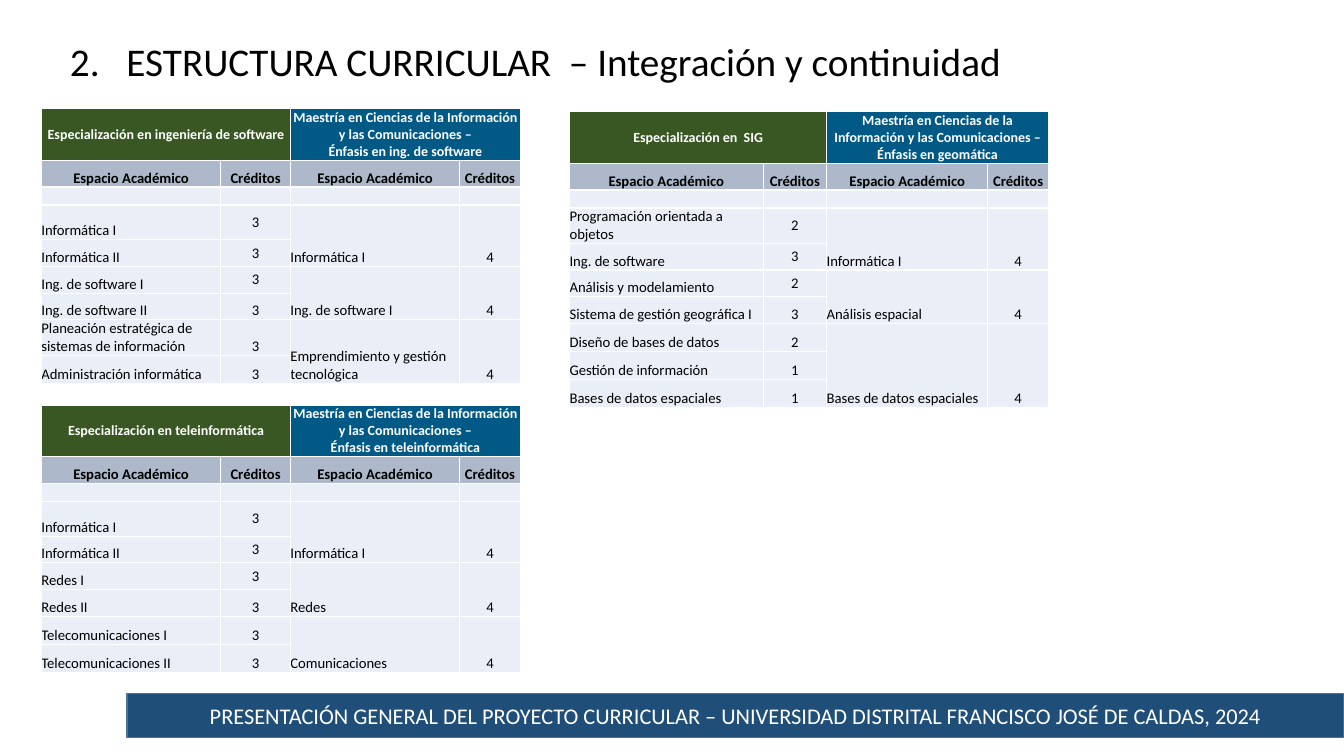
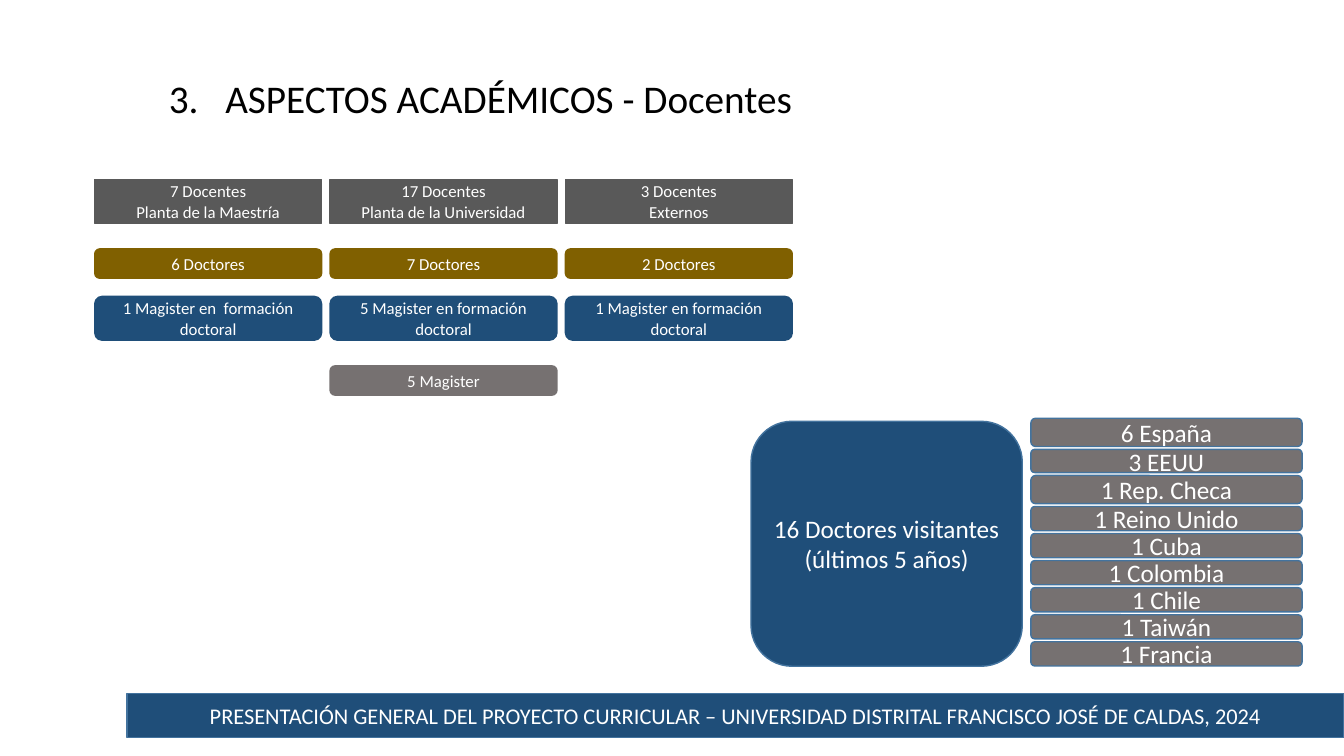
from lxml.etree import SubElement
from pptx import Presentation
from pptx.dml.color import RGBColor
from pptx.enum.shapes import MSO_SHAPE as SHAPE
from pptx.enum.text import MSO_ANCHOR as ANCHOR, MSO_AUTO_SIZE as AUTO, PP_ALIGN as ALIGN
from pptx.oxml.ns import qn
from pptx.util import Emu, Inches, Pt

WIDTH, HEIGHT = Inches(13.33), Inches(7.5)
FONT = "Calibri"
BLACK, WHITE = "000000", "FFFFFF"
NAVY, EDGE = "1F4E79", "43739E"
GRAY, DARK_GRAY, OCHRE = "767171", "595959", "806000"
GREEN, BLUE, HEADER, BODY = "385723", "015986", "ADB9CA", "EAEFF7"
FOOTER = "PRESENTACIÓN GENERAL DEL PROYECTO CURRICULAR – UNIVERSIDAD DISTRITAL FRANCISCO JOSÉ DE CALDAS, 2024"
MASTER = "Maestría en Ciencias de la Información y las Comunicaciones –\nÉnfasis en "
MASTER_CREDITS = "4"
HEADER_ROWS = [6.8, 3.53, 2.4]
COLUMNS = [13.35, 5.18, 12.6, 4.5]

SOFTWARE = [
    ([("Informática I", 3), ("Informática II", 3)], "Informática I"),
    ([("Ing. de software I", 3), ("Ing. de software II", 3)], "Ing. de software I"),
    ([("Planeación estratégica de sistemas de información", 3), ("Administración informática", 3)],
     "Emprendimiento y gestión tecnológica"),
]
TELEINFORMATICS = [
    ([("Informática I", 3), ("Informática II", 3)], "Informática I"),
    ([("Redes I", 3), ("Redes II", 3)], "Redes"),
    ([("Telecomunicaciones I", 3), ("Telecomunicaciones II", 3)], "Comunicaciones"),
]
GEOMATICS = [
    ([("Programación orientada a objetos", 2), ("Ing. de software", 3)], "Informática I"),
    ([("Análisis y modelamiento", 2), ("Sistema de gestión geográfica I", 3)], "Análisis espacial"),
    ([("Diseño de bases de datos", 2), ("Gestión de información", 1), ("Bases de datos espaciales", 1)],
     "Bases de datos espaciales"),
]
STAFF = [
    ["7 Docentes\nPlanta de la Maestría", "6 Doctores", "1 Magister en  formación doctoral"],
    ["17 Docentes\nPlanta de la Universidad", "7 Doctores", "5 Magister en formación doctoral", "5 Magister"],
    ["3 Docentes\nExternos", "2 Doctores", "1 Magister en formación doctoral"],
]
STAFF_ROWS = [
    (23.73, 5.8, DARK_GRAY, SHAPE.RECTANGLE),
    (32.93, 3.87, OCHRE, SHAPE.ROUNDED_RECTANGLE),
    (39.2, 5.8, NAVY, SHAPE.ROUNDED_RECTANGLE),
    (48.4, 3.87, GRAY, SHAPE.ROUNDED_RECTANGLE),
]
COUNTRIES = ["6 España", "3 EEUU", "1 Rep. Checa", "1 Reino Unido", "1 Cuba",
             "1 Colombia", "1 Chile", "1 Taiwán", "1 Francia"]
COUNTRY_HEIGHTS = [3.73, 3.07, 3.73] + [3.2] * 6


def rgb(color):
    """Turn a hex string into a colour."""
    return RGBColor.from_string(color)


def across(share):
    """Length for a percentage of the slide width."""
    return Emu(round(WIDTH * share / 100))


def down(share):
    """Length for a percentage of the slide height."""
    return Emu(round(HEIGHT * share / 100))


def place(x, y, w, h):
    """Frame lengths from percentages of the slide."""
    return across(x), down(y), across(w), down(h)


def write(tf, text, size=12, color=WHITE, bold=False, align=ALIGN.CENTER):
    """Write one paragraph per line of text in the given format."""
    for i, line in enumerate(text.split("\n")):
        p = tf.paragraphs[0] if i == 0 else tf.add_paragraph()
        p.alignment = align
        if not line:
            SubElement(p._p, qn("a:endParaRPr"), sz=str(round(size * 100)))
            continue
        r = p.add_run()
        r.text = line
        r.font.name, r.font.size, r.font.bold = FONT, Pt(size), bold
        r.font.color.rgb = rgb(color)


def add_title(s, text, number, x, y, w):
    """Add a numbered slide title."""
    tf = s.shapes.add_textbox(*place(x, y, w, 7.6)).text_frame
    tf.word_wrap, tf.auto_size = True, AUTO.SHAPE_TO_FIT_TEXT
    pPr = tf.paragraphs[0]._p.get_or_add_pPr()
    pPr.set("marL", str(Inches(0.56)))
    pPr.set("indent", str(-Inches(0.56)))
    SubElement(pPr, qn("a:buFont"), typeface="+mj-lt")
    SubElement(pPr, qn("a:buAutoNum"), type="arabicPeriod", startAt=str(number))
    write(tf, text, size=28, color=BLACK)


def add_box(s, text, frame, fill, line=None, kind=SHAPE.ROUNDED_RECTANGLE, size=12):
    """Add a filled shape with centred white text."""
    sp = s.shapes.add_shape(kind, *place(*frame))
    sp.shadow.inherit = False
    sp.fill.solid()
    sp.fill.fore_color.rgb = rgb(fill)
    sp.line.color.rgb = rgb(line or fill)
    sp.line.width = Pt(1)
    sp.text_frame.word_wrap = True
    sp.text_frame.vertical_anchor = ANCHOR.MIDDLE
    write(sp.text_frame, text, size=size)


def fill_cell(cell, text, fill, anchor=ANCHOR.BOTTOM, **style):
    """Fill a table cell and write its text without margins."""
    cell.margin_left = cell.margin_right = cell.margin_top = cell.margin_bottom = 0
    cell.vertical_anchor = anchor
    cell.fill.solid()
    cell.fill.fore_color.rgb = rgb(fill)
    write(cell.text_frame, text, **{"size": 10.5, "color": BLACK, **style})


def add_curriculum(s, x, y, program, emphasis, groups, body_rows, columns=COLUMNS):
    """Add a table that pairs specialisation subjects with master's subjects."""
    rows = HEADER_ROWS + body_rows
    frame = place(x, y, sum(columns), sum(rows))
    table = s.shapes.add_table(len(rows), len(columns), *frame).table
    table.first_row = table.horz_banding = False
    for column, share in zip(table.columns, columns):
        column.width = across(share)
    for row, share in zip(table.rows, rows):
        row.height = down(share)

    heads = ["Especialización en " + program, "", MASTER + emphasis, ""]
    labels = ["Espacio Académico", "Créditos"] * 2
    for j, (head, label) in enumerate(zip(heads, labels)):
        fill_cell(table.cell(0, j), head, GREEN if j < 2 else BLUE,
                  anchor=ANCHOR.MIDDLE, size=10, color=WHITE, bold=True)
        fill_cell(table.cell(1, j), label, HEADER, bold=True)
        fill_cell(table.cell(2, j), "", BODY)
    for j in (0, 2):
        table.cell(0, j).merge(table.cell(0, j + 1))

    top = i = len(HEADER_ROWS)
    for subjects, target in groups:
        first = i
        for name, credits in subjects:
            opening = i == first
            fill_cell(table.cell(i, 0), name, BODY, align=ALIGN.LEFT)
            fill_cell(table.cell(i, 1), str(credits), BODY,
                      anchor=ANCHOR.MIDDLE if i < top + 3 else ANCHOR.BOTTOM)
            fill_cell(table.cell(i, 2), target if opening else "", BODY, align=ALIGN.LEFT)
            fill_cell(table.cell(i, 3), MASTER_CREDITS if opening else "", BODY)
            i += 1
        for j in (2, 3):
            table.cell(first, j).merge(table.cell(i - 1, j))


def add_footer(s):
    """Add the band at the bottom of the slide."""
    add_box(s, FOOTER, (9.45, 91.73, 90.55, 5.87), NAVY, EDGE, SHAPE.RECTANGLE, 16)


def add_staff(s):
    """Add one column of boxes for each group of teachers."""
    for i, texts in enumerate(STAFF):
        for text, (y, h, fill, kind) in zip(texts, STAFF_ROWS):
            add_box(s, text, (7.05 + i * 17.51, y, 16.88, h), fill, kind=kind)


def add_visitors(s):
    """Add the visitors' box and the stack of countries."""
    add_box(s, "16 Doctores visitantes\n(últimos 5 años)", (55.88, 55.73, 20.18, 32.4), NAVY, EDGE, size=18)
    y = 55.33
    for country, h in zip(COUNTRIES, COUNTRY_HEIGHTS):
        add_box(s, country, (76.7, y, 20.18, h), GRAY, EDGE, size=18)
        y += h + 0.38


def main():
    """Build both slides and save the presentation."""
    prs = Presentation()
    prs.slide_width, prs.slide_height = WIDTH, HEIGHT
    blank = prs.slide_layouts[6]

    s = prs.slides.add_slide(blank)
    add_title(s, "ESTRUCTURA CURRICULAR  – Integración y continuidad", 2, 3.08, 4.27, 73.5)
    body_rows = [4.6, 3.53, 3.53, 3.53, 3.73, 3.73]
    add_curriculum(s, 3.08, 14.4, "ingeniería de software", "ing. de software", SOFTWARE,
                   body_rows[:4] + [4.7, 3.73])
    add_curriculum(s, 3.08, 53.6, "teleinformática", "teleinformática", TELEINFORMATICS, body_rows)
    add_curriculum(s, 42.38, 14.8, " SIG", "geomática", GEOMATICS, body_rows + [3.73],
                   columns=[14.4, 4.73, 12, 4.5])
    add_footer(s)

    s = prs.slides.add_slide(blank)
    add_title(s, "ASPECTOS ACADÉMICOS - Docentes", 3, 5.55, 9.2, 60.38)
    add_staff(s)
    add_footer(s)
    add_visitors(s)

    prs.save("out.pptx")


if __name__ == "__main__":
    main()
